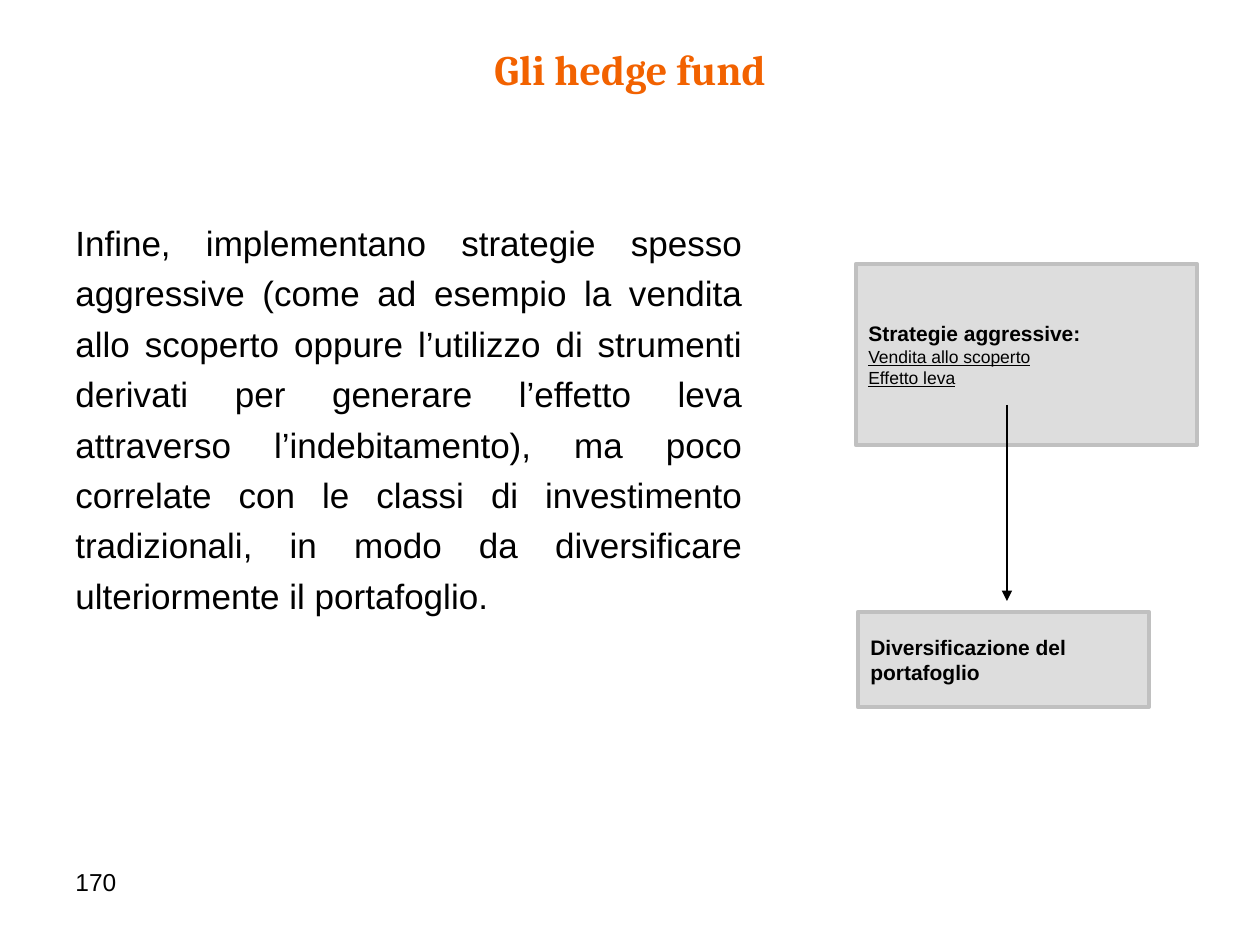
from lxml.etree import SubElement
from pptx import Presentation
from pptx.dml.color import RGBColor
from pptx.enum.shapes import MSO_CONNECTOR, MSO_SHAPE
from pptx.enum.text import MSO_ANCHOR, PP_ALIGN
from pptx.oxml.ns import qn
from pptx.util import Pt

SCALE = 914400 / 126


def px(n):
    return round(n * SCALE)


def color(code):
    return RGBColor.from_string(code)


def write(para, text, size=12, font="Arial", ink="000000", bold=False,
          under=False, align=PP_ALIGN.LEFT, space=1.0):
    para.alignment = align
    para.line_spacing = space
    run = para.add_run()
    run.text = text
    run.font.size = Pt(size)
    run.font.name = font
    run.font.bold = bold
    run.font.underline = under
    run.font.color.rgb = color(ink)


class Deck:
    ACCENT, FILL, EDGE, INK = "F26200", "DDDDDD", "C0C0C0", "000000"

    def __init__(self):
        self.prs = Presentation()
        self.prs.slide_width, self.prs.slide_height = px(1260), px(945)
        self.slide = self.prs.slides.add_slide(self.prs.slide_layouts[5])
        self.shapes = self.slide.shapes

    def title(self, text, x, y, w, h):
        shape = self.shapes.title
        shape.left, shape.top, shape.width, shape.height = map(px, (x, y, w, h))
        shape.text_frame.vertical_anchor = MSO_ANCHOR.MIDDLE
        write(shape.text_frame.paragraphs[0], text, size=24, font="Cambria",
              ink=self.ACCENT, bold=True, align=PP_ALIGN.CENTER)

    def text(self, text, x, y, w, h, **style):
        frame = self.shapes.add_textbox(*map(px, (x, y, w, h))).text_frame
        frame.word_wrap = True
        write(frame.paragraphs[0], text, **style)

    def box(self, head, items, x, y, w, h):
        shape = self.shapes.add_shape(MSO_SHAPE.RECTANGLE, *map(px, (x, y, w, h)))
        shape.shadow.inherit = False
        shape.fill.solid()
        shape.fill.fore_color.rgb = color(self.FILL)
        shape.line.color.rgb = color(self.EDGE)
        shape.line.width = Pt(2.5)
        frame = shape.text_frame
        frame.word_wrap = True
        frame.vertical_anchor = MSO_ANCHOR.MIDDLE
        write(frame.paragraphs[0], head, bold=True)
        for item in items:
            write(frame.add_paragraph(), item, size=10, under=True)

    def arrow(self, x1, y1, x2, y2):
        line = self.shapes.add_connector(MSO_CONNECTOR.STRAIGHT,
                                         *map(px, (x1, y1, x2, y2)))
        line.line.color.rgb = color(self.INK)
        line.line.width = Pt(1.25)
        props = line._element.spPr
        SubElement(props.find(qn("a:ln")), qn("a:tailEnd"), type="triangle")
        SubElement(props, qn("a:effectLst"))


def main():
    deck = Deck()

    # Title and page number
    deck.title("Gli hedge fund", 60, 37, 1140, 64)
    deck.text("170", 63, 861, 294, 66, size=14)

    # Main text
    deck.text("Infine, implementano strategie spesso aggressive (come ad esempio "
              "la vendita allo scoperto oppure l’utilizzo di strumenti derivati "
              "per generare l’effetto leva attraverso l’indebitamento), ma poco "
              "correlate con le classi di investimento tradizionali, in modo da "
              "diversificare ulteriormente il portafoglio.",
              63, 207, 692, 466, size=20, align=PP_ALIGN.JUSTIFY, space=1.2)

    # Strategies leading to diversification
    deck.box("Strategie aggressive:", ["Vendita allo scoperto", "Effetto leva"],
             856, 264, 341, 181)
    deck.box("Diversificazione del portafoglio", [], 858, 612, 291, 95)
    deck.arrow(1007, 405, 1007, 601)

    deck.prs.save("out.pptx")


if __name__ == "__main__":
    main()
